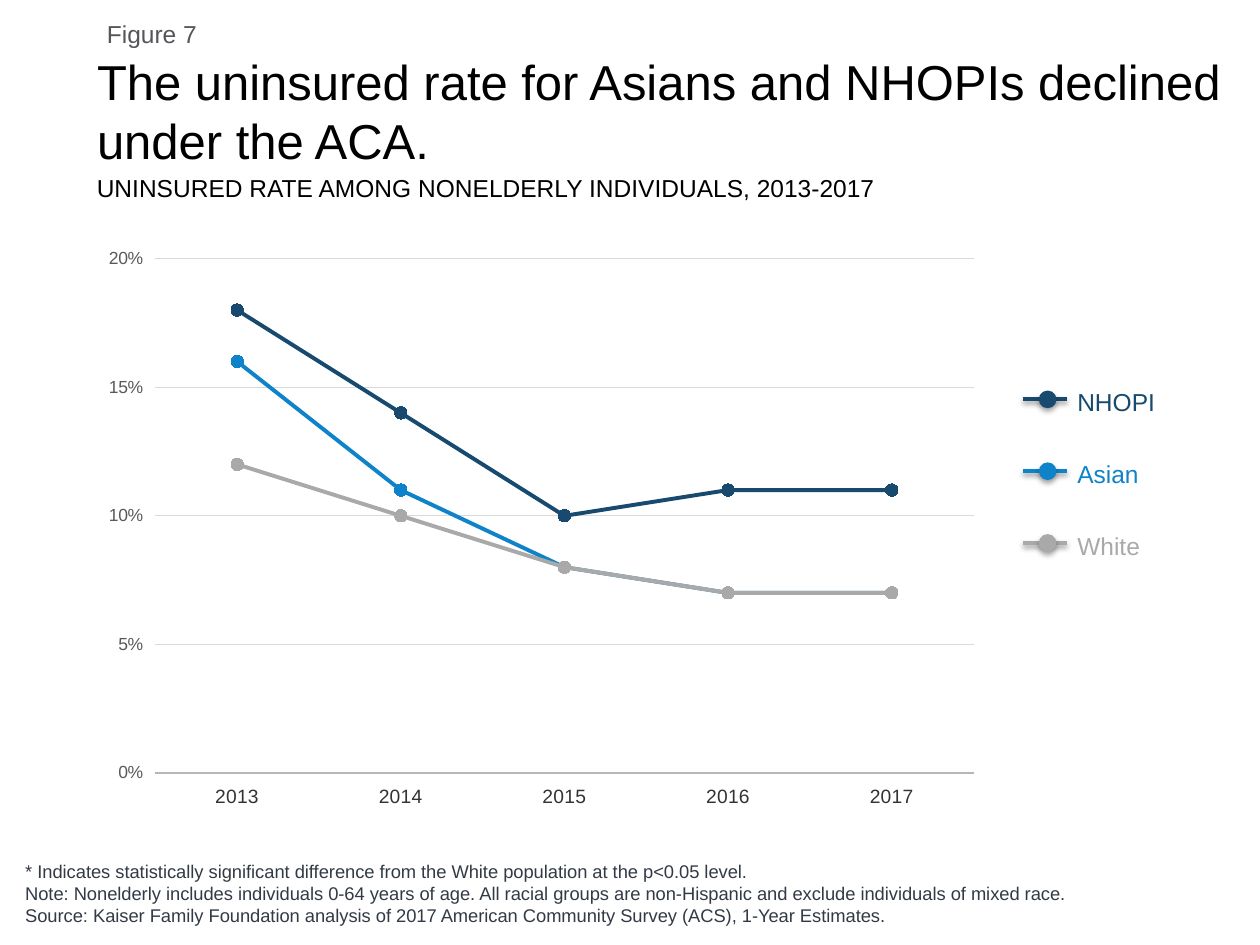
from dataclasses import dataclass

from lxml.etree import SubElement
from pptx import Presentation
from pptx.chart.data import CategoryChartData
from pptx.dml.color import RGBColor
from pptx.enum.chart import XL_CHART_TYPE as ChartType, XL_MARKER_STYLE as Marker
from pptx.enum.chart import XL_TICK_LABEL_POSITION as LabelPosition, XL_TICK_MARK as TickMark
from pptx.enum.shapes import MSO_CONNECTOR as Connector, MSO_SHAPE as Shape
from pptx.enum.text import MSO_ANCHOR as Anchor, PP_ALIGN as Align
from pptx.oxml.ns import qn
from pptx.util import Inches, Pt

WIDTH, HEIGHT = 10, 7.5
FONT = "Arial"
LEFT = 0.067
YEARS = ["2013", "2014", "2015", "2016", "2017"]
LEGEND_TOP, LEGEND_STEP = 3.17, 0.57
LINE_LEFT, LINE_RIGHT, DOT, LABEL_LEFT = 8.12, 8.47, 0.13, 8.55


@dataclass(frozen=True)
class Group:
    """One population group: its line in the chart and its legend entry."""
    name: str
    color: str
    rates: tuple[float, ...]


GROUPS = [
    Group("NHOPI", "174A6E", (0.18, 0.14, 0.10, 0.11, 0.11)),
    Group("Asian", "0E83C9", (0.16, 0.11, 0.08, 0.07, 0.07)),
    Group("White", "A9A9A9", (0.12, 0.10, 0.08, 0.07, 0.07)),
]
NOTES = [
    "* Indicates statistically significant difference from the White population at the p<0.05 level.",
    "Note: Nonelderly includes individuals 0-64 years of age. All racial groups are non-Hispanic "
    "and exclude individuals of mixed race.",
    "Source: Kaiser Family Foundation analysis of 2017 American Community Survey (ACS), "
    "1-Year Estimates.",
]


def rgb(color: str) -> RGBColor:
    """Turn a hex string into a colour."""
    return RGBColor.from_string(color)


def area(x: float, y: float, width: float, height: float) -> tuple:
    """Turn shares of the slide's size into lengths."""
    return (Inches(x * WIDTH), Inches(y * HEIGHT),
            Inches(width * WIDTH), Inches(height * HEIGHT))


def move(shape, place: tuple) -> None:
    """Put a placeholder at a place."""
    shape.left, shape.top, shape.width, shape.height = place


def style_font(font, size: float, color: str) -> None:
    """Set the face, size and colour of a font."""
    font.name, font.size, font.bold = FONT, Pt(size), False
    font.color.rgb = rgb(color)


def write(shape, *lines: str, size: float, color: str = "000000",
          anchor=Anchor.TOP, wrap: bool = True, inset: bool = True) -> None:
    """Fill a shape with left-aligned, unbulleted paragraphs."""
    frame = shape.text_frame
    frame.word_wrap, frame.vertical_anchor = wrap, anchor
    if not inset:
        frame.margin_left = frame.margin_right = frame.margin_top = frame.margin_bottom = 0
    for index, line in enumerate(lines):
        para = frame.add_paragraph() if index else frame.paragraphs[0]
        para.alignment, para.space_before = Align.LEFT, Pt(0)
        if shape.is_placeholder:
            properties = para._p.get_or_add_pPr()
            properties.set("marL", "0")
            properties.set("indent", "0")
            SubElement(properties, qn("a:buNone"))
        span = para.add_run()
        span.text = line
        style_font(span.font, size, color)


def add_shadow(shape, alpha: int, distance: float) -> None:
    """Give a shape or connector a soft shadow falling straight down."""
    effects = SubElement(shape._element.spPr, qn("a:effectLst"))
    shadow = SubElement(effects, qn("a:outerShdw"), blurRad=str(Pt(3.1)),
                        dist=str(Pt(distance)), dir="5400000", rotWithShape="0")
    tone = SubElement(shadow, qn("a:srgbClr"), val="000000")
    SubElement(tone, qn("a:alpha"), val=str(alpha * 1000))


def style_line(line, color: str, width: float) -> None:
    """Set the colour and width of a line."""
    line.color.rgb, line.width = rgb(color), Pt(width)


def add_legend_entry(page, group: Group, row: int) -> None:
    """Draw the line, dot and label of one group."""
    middle = LEGEND_TOP + row * LEGEND_STEP
    stroke = page.shapes.add_connector(Connector.STRAIGHT, Inches(LINE_LEFT), Inches(middle),
                                       Inches(LINE_RIGHT), Inches(middle))
    style_line(stroke.line, group.color, 2.25)
    add_shadow(stroke, 38, 1.6)
    dot = page.shapes.add_shape(Shape.OVAL, Inches(8.25), Inches(middle - DOT / 2),
                                Inches(DOT), Inches(DOT))
    dot.fill.solid()
    dot.fill.fore_color.rgb = rgb(group.color)
    style_line(dot.line, group.color, 0.75)
    add_shadow(dot, 35, 1.8)
    label = page.shapes.add_textbox(Inches(LABEL_LEFT), Inches(middle - 0.14),
                                    Inches(1.23), Inches(0.32))
    write(label, group.name, size=14, color=group.color,
          anchor=Anchor.MIDDLE, wrap=False, inset=False)


def style_axis(axis, size: float, color: str) -> None:
    """Set the labels of an axis and hide its tick marks."""
    axis.major_tick_mark = axis.minor_tick_mark = TickMark.NONE
    axis.tick_label_position = LabelPosition.LOW
    style_font(axis.tick_labels.font, size, color)


def add_rate_chart(page) -> None:
    """Draw the uninsured rates as lines with markers."""
    data = CategoryChartData(number_format="0%")
    data.categories = YEARS
    for number, group in enumerate(GROUPS, 1):
        data.add_series(f"Series {number}", group.rates)
    chart = page.shapes.add_chart(ChartType.LINE_MARKERS, *area(0.072, 0.251, 0.715, 0.616),
                                  data).chart
    chart.has_legend = chart.has_title = False
    style_font(chart.font, 10.5, "404040")
    chart.plots[0].vary_by_categories = False
    years, rates = chart.category_axis, chart.value_axis
    style_axis(years, 11, "333333")
    style_line(years.format.line, "B7B7B7", 0.75)
    style_axis(rates, 10, "595959")
    rates.format.line.fill.background()
    rates.minimum_scale, rates.maximum_scale, rates.major_unit = 0, 0.2, 0.05
    rates.tick_labels.number_format = "0%"
    rates.tick_labels.number_format_is_linked = False
    style_line(rates.major_gridlines.format.line, "D9D9D9", 0.75)
    for series, group in zip(chart.plots[0].series, GROUPS):
        series.smooth = False
        style_line(series.format.line, group.color, 2.25)
        series.marker.style, series.marker.size = Marker.CIRCLE, 7
        series.marker.format.fill.solid()
        series.marker.format.fill.fore_color.rgb = rgb(group.color)
        style_line(series.marker.format.line, group.color, 0.75)


def main() -> None:
    """Build the slide and save it."""
    deck = Presentation()
    deck.slide_width, deck.slide_height = Inches(WIDTH), Inches(HEIGHT)
    page = deck.slides.add_slide(deck.slide_layouts[1])
    figure = page.shapes.add_textbox(*area(0.075, 0.013, 0.915, 0.045))
    write(figure, "Figure 7", size=14, color="55565A")
    title, notes = page.placeholders
    move(title, area(LEFT, 0.048, 0.923, 0.133))
    write(title, "The uninsured rate for Asians and NHOPIs declined under the ACA.", size=28)
    move(notes, area(0.01, 0.907, 0.898, 0.08))
    write(notes, *NOTES, size=10.5, color="323A45", anchor=Anchor.BOTTOM)
    subtitle = page.shapes.add_textbox(*area(LEFT, 0.177, 0.867, 0.045))
    write(subtitle, "UNINSURED RATE AMONG NONELDERLY INDIVIDUALS, 2013-2017", size=14)
    add_rate_chart(page)
    for row, group in enumerate(GROUPS):
        add_legend_entry(page, group, row)
    deck.save("out.pptx")


if __name__ == "__main__":
    main()
